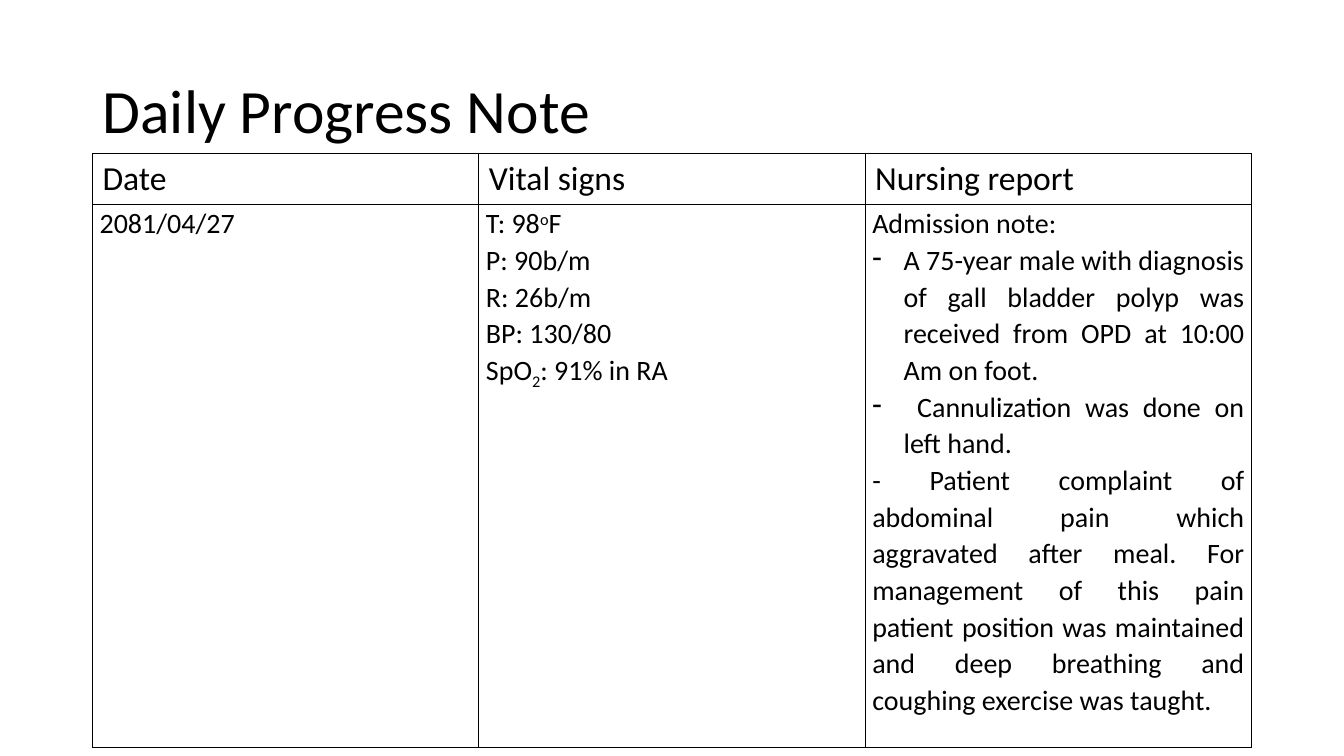
from lxml import etree
from pptx import Presentation
from pptx import util as u
from pptx.dml.color import RGBColor
from pptx.enum import text
from pptx.oxml import ns

BLACK = RGBColor(0x00, 0x00, 0x00)
FONT = "Calibri"
LEFT, WIDTH = u.Cm(2.33), u.Cm(29.21)
BODY_SIZE = 20
HANG = u.Cm(0.79)

HEADINGS = ["Date", "Vital signs", "Nursing report"]
# Each paragraph is a list of (text, baseline shift in percent)
VITAL_SIGNS = [
    [("T: 98", 0), ("o", 30), ("F", 0)],
    [("P: 90b/m", 0)],
    [("R: 26b/m", 0)],
    [("BP: 130/80", 0)],
    [("SpO", 0), ("2", -25), (": 91% in RA", 0)],
]
# Each line of the report is (text, bulleted)
NURSING_REPORT = [
    ("Admission note:", False),
    ("A 75-year male with diagnosis of gall bladder polyp was received "
     "from OPD at 10:00 Am on foot.", True),
    (" Cannulization was done on left hand.", True),
    ("- Patient complaint of abdominal pain which aggravated after meal. "
     "For management of this pain patient position was maintained and deep "
     "breathing and coughing exercise was taught.", False),
]


def add_span(para, words, size=BODY_SIZE, baseline=0):
    span = para.add_run()
    span.text = words
    span.font.name = FONT
    span.font.size = u.Pt(size)
    span.font.bold = False
    span.font.color.rgb = BLACK
    if baseline:
        span.font._element.set("baseline", str(baseline * 1000))


def add_bullet(para, mark="-"):
    properties = para._p.get_or_add_pPr()
    properties.set("marL", str(HANG))
    properties.set("indent", str(-HANG))
    bullet = etree.SubElement(properties, ns.qn("a:buChar"))
    bullet.set("char", mark)


def write_cell(cell, paragraphs, align=text.PP_ALIGN.LEFT):
    """Fill a body cell; each paragraph is (spans, bulleted)."""
    cell.margin_left = cell.margin_right = u.Cm(0.18)
    cell.margin_top = cell.margin_bottom = 0
    frame = cell.text_frame
    for index, (spans, bulleted) in enumerate(paragraphs):
        para = frame.add_paragraph() if index else frame.paragraphs[0]
        para.alignment = align
        para.line_spacing = 1.07
        if bulleted:
            add_bullet(para)
        for words, baseline in spans:
            add_span(para, words, baseline=baseline)


def outline_cell(cell):
    cell.fill.background()
    properties = cell._tc.get_or_add_tcPr()
    for index, side in enumerate(("lnL", "lnR", "lnT", "lnB")):
        line = etree.Element(ns.qn(f"a:{side}"), w=str(u.Pt(1)))
        fill = etree.SubElement(line, ns.qn("a:solidFill"))
        etree.SubElement(fill, ns.qn("a:srgbClr"), val=str(BLACK))
        properties.insert(index, line)


def set_title(page, words):
    title = page.shapes.title
    title.left, title.top = LEFT, u.Cm(1.01)
    title.width, title.height = WIDTH, u.Cm(3.68)
    frame = title.text_frame
    frame.auto_size = text.MSO_AUTO_SIZE.NONE
    frame.vertical_anchor = text.MSO_ANCHOR.MIDDLE
    para = frame.paragraphs[0]
    para.alignment = text.PP_ALIGN.LEFT
    para.line_spacing = 0.9
    add_span(para, words, size=44)


def add_progress_table(page):
    frame = page.shapes.add_table(2, len(HEADINGS), LEFT, u.Cm(3.87),
                                  WIDTH, u.Cm(14.95))
    table = frame.table
    table.first_row = table.horz_banding = False
    table.rows[0].height = u.Cm(1.28)
    table.rows[1].height = u.Cm(13.67)
    for cell in table.iter_cells():
        outline_cell(cell)
    return table


def main():
    deck = Presentation()
    deck.slide_width, deck.slide_height = u.Cm(33.87), u.Cm(19.05)
    page = deck.slides.add_slide(deck.slide_layouts.get_by_name("Title Only"))
    set_title(page, "Daily Progress Note")
    table = add_progress_table(page)

    # Header row
    for column, heading in enumerate(HEADINGS):
        para = table.cell(0, column).text_frame.paragraphs[0]
        add_span(para, heading, size=24)

    # Progress entry
    write_cell(table.cell(1, 0), [([("2081/04/27", 0)], False)])
    write_cell(table.cell(1, 1), [(spans, False) for spans in VITAL_SIGNS])
    write_cell(table.cell(1, 2),
               [([(words, 0)], bulleted) for words, bulleted in NURSING_REPORT],
               align=text.PP_ALIGN.JUSTIFY)

    deck.save("out.pptx")


if __name__ == "__main__":
    main()
